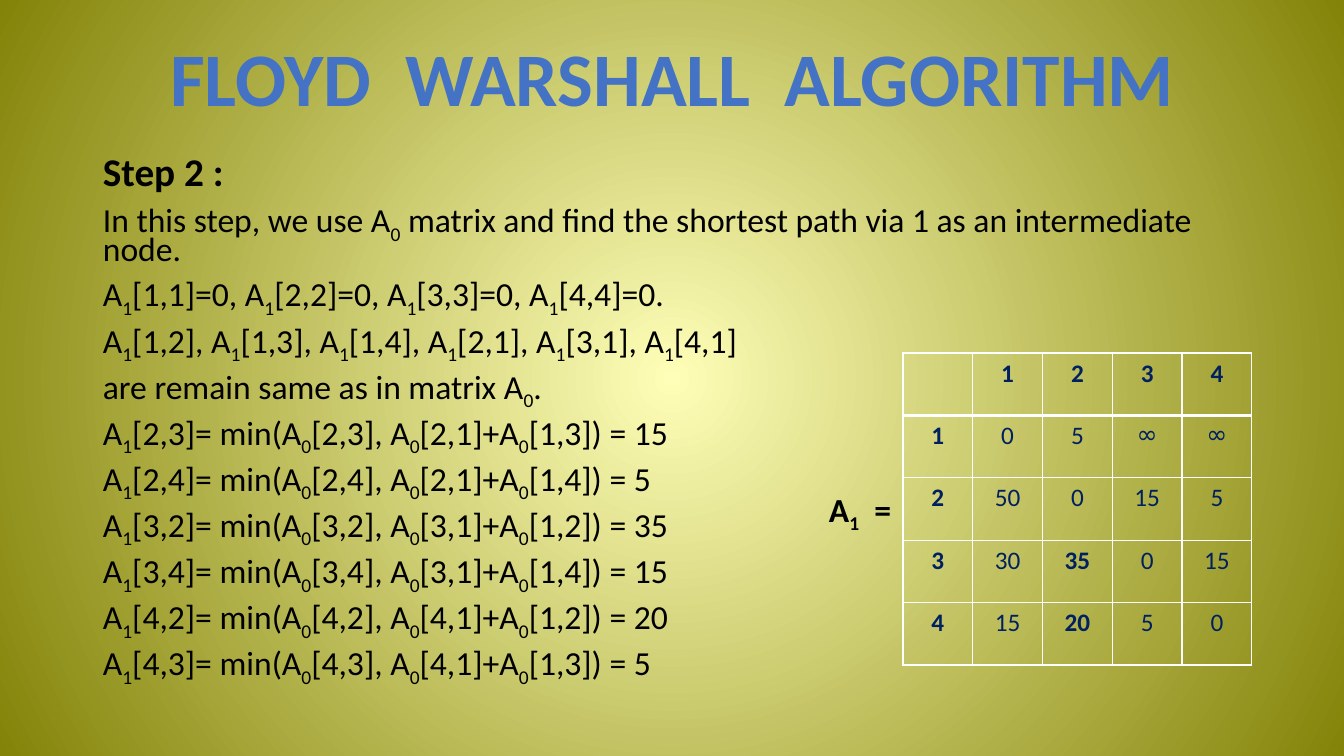
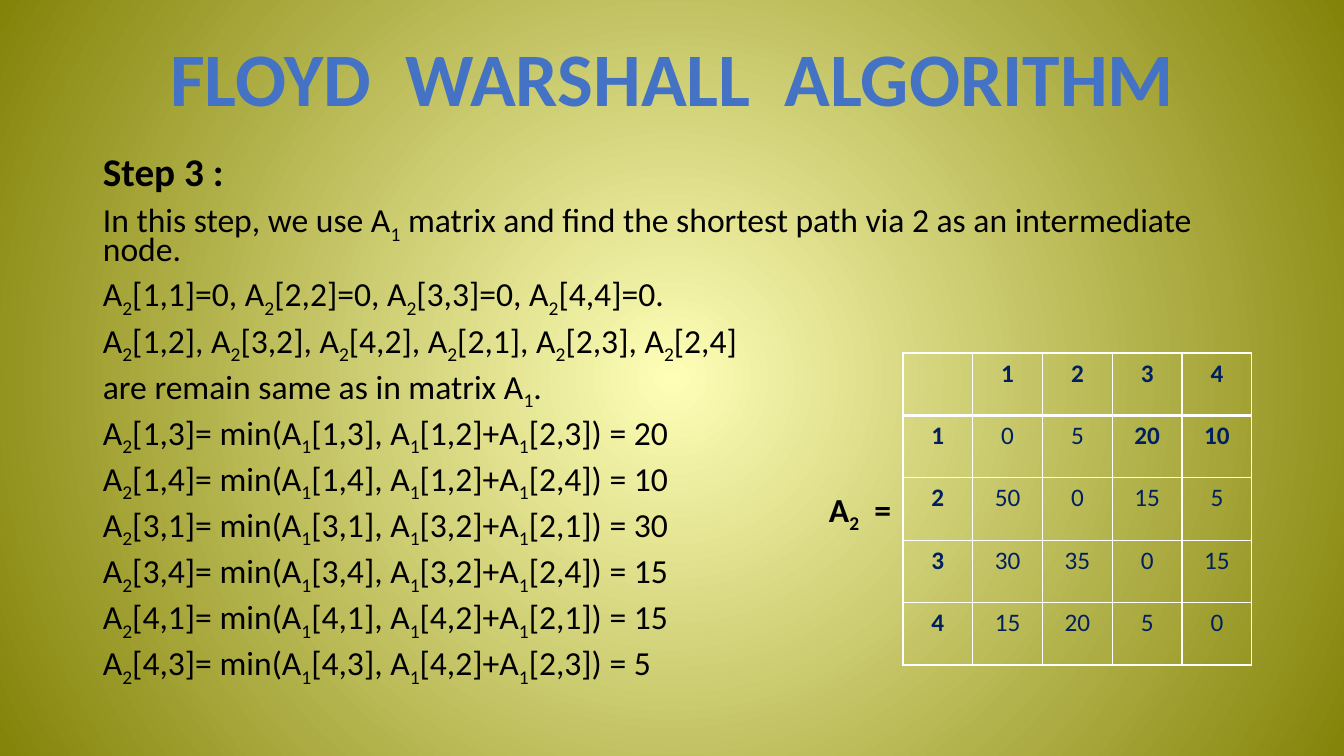
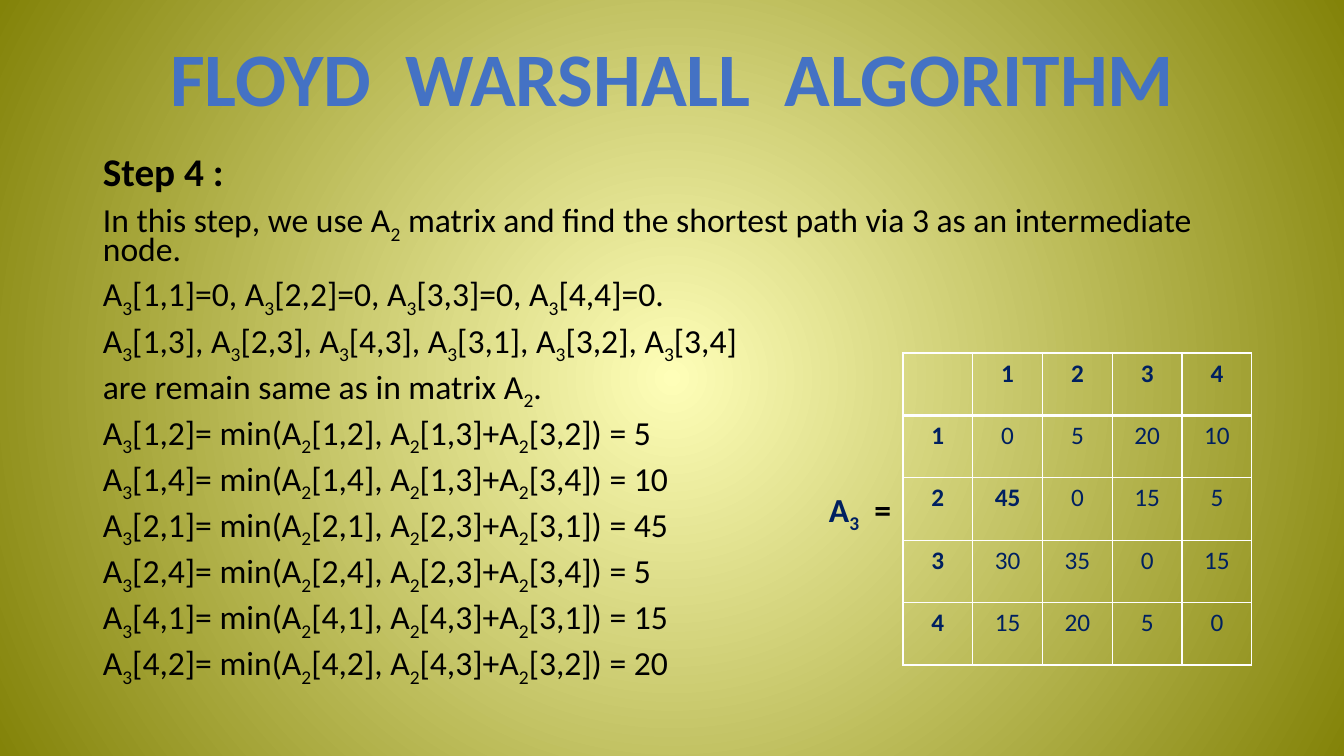
from dataclasses import dataclass
from itertools import permutations

from lxml import etree
from pptx import Presentation
from pptx import util as u
from pptx.dml.color import RGBColor
from pptx.enum import text
from pptx.oxml.ns import qn

TITLE = "FLOYD  WARSHALL  ALGORITHM"
NODES = (1, 2, 3, 4)
STEPS = [
    {
        "via": 1,
        "kept": [(1, 2), (1, 3), (1, 4), (2, 1), (3, 1), (4, 1)],
        "matrix": [[0, 5, "∞", "∞"], [50, 0, 15, 5], [30, 35, 0, 15], [15, 20, 5, 0]],
        "improved": {(3, 2), (4, 2)},
        "label_color": "000000",
    },
    {
        "via": 2,
        "kept": [(1, 2), (3, 2), (4, 2), (2, 1), (2, 3), (2, 4)],
        "matrix": [[0, 5, 20, 10], [50, 0, 15, 5], [30, 35, 0, 15], [15, 20, 5, 0]],
        "improved": {(1, 3), (1, 4)},
        "label_color": "000000",
    },
    {
        "via": 3,
        "kept": [(1, 3), (2, 3), (4, 3), (3, 1), (3, 2), (3, 4)],
        "matrix": [[0, 5, 20, 10], [45, 0, 15, 5], [30, 35, 0, 15], [15, 20, 5, 0]],
        "improved": {(2, 1)},
        "label_color": "002060",
    },
]


@dataclass(frozen=True)
class Theme:
    font: str = "Calibri"
    symbol_font: str = "DejaVu Sans"
    ink: str = "000000"
    navy: str = "002060"
    border: str = "FFFFFF"
    back: tuple = ((0, "FEFEB8"), (100, "838309"))
    title_fill: tuple = ((0, "203864"), (50, "4472C4"), (100, "8FAADC"))
    title: int = 54
    heading: int = 28
    body: int = 24
    cell: int = 18


T = Theme()
SLIDE = (1344, 756)
TITLE_BOX = (93, 40, 1159, 85)
BODY_BOX = (93, 155, 1159, 525)
LABEL_BOX = (819, 484, 84, 50)
TABLE_BOX = (903, 353, 349, 312)
EMU_PER_PX = 914400 / 100.8


def px(n):
    return u.Emu(round(n * EMU_PER_PX))


def set_gradient(fill, parent, stops, radial=False):
    fill.gradient()
    grad = parent.find(qn("a:gradFill"))
    for child in list(grad):
        grad.remove(child)
    gs_list = etree.SubElement(grad, qn("a:gsLst"))
    for pos, color in stops:
        gs = etree.SubElement(gs_list, qn("a:gs"), pos=str(pos * 1000))
        etree.SubElement(gs, qn("a:srgbClr"), val=color)
    if radial:
        shade = etree.SubElement(grad, qn("a:path"), {"path": "circle"})
        etree.SubElement(shade, qn("a:fillToRect"), l="50000", t="50000", r="50000", b="50000")
    else:
        etree.SubElement(grad, qn("a:lin"), ang="5400000", scaled="0")


def write(p, line, size=T.body, bold=False, color=T.ink, font=T.font,
          align=None, spacing=None, before=None, gradient=None):
    p.alignment = align
    p.line_spacing = spacing
    if before is not None:
        p.space_before = u.Pt(before)
    first, *rest = line.split("_")
    pieces = [(first, False)]
    for part in rest:
        pieces += [(part[0], True), (part[1:], False)]
    for piece, sub in pieces:
        r = p.add_run()
        r.text = piece
        f = r.font
        f.name, f.size, f.bold = font, u.Pt(size), bold
        rpr = r._r.get_or_add_rPr()
        if gradient:
            set_gradient(f.fill, rpr, gradient)
        else:
            f.color.rgb = RGBColor.from_string(color)
        if sub:
            rpr.set("baseline", "-25000")


def add_box(s, box):
    tf = s.shapes.add_textbox(*map(px, box)).text_frame
    tf.word_wrap = True
    return tf


def set_borders(cell, bottom):
    tcpr = cell._tc.get_or_add_tcPr()
    for i, (side, width) in enumerate((("L", 1), ("R", 1), ("T", 1), ("B", bottom))):
        ln = etree.Element(qn(f"a:ln{side}"), w=str(u.Pt(width)))
        solid = etree.SubElement(ln, qn("a:solidFill"))
        etree.SubElement(solid, qn("a:srgbClr"), val=T.border)
        tcpr.insert(i, ln)


def body_lines(step):
    via, matrix = step["via"], step["matrix"]
    new, old = f"A_{via}", f"A_{via - 1}"
    others = [n for n in NODES if n != via]
    return [
        f"In this step, we use {old} matrix and find the shortest path via {via} as an intermediate node.",
        ", ".join(f"{new}[{n},{n}]=0" for n in NODES) + ".",
        ", ".join(f"{new}[{i},{j}]" for i, j in step["kept"]),
        f"are remain same as in matrix {old}.",
    ] + [
        f"{new}[{i},{j}]= min({old}[{i},{j}], {old}[{i},{via}]+{old}[{via},{j}]) = {matrix[i - 1][j - 1]}"
        for i, j in permutations(others, 2)
    ]


def add_matrix(s, step):
    rows = [["", *NODES]] + [[n, *row] for n, row in zip(NODES, step["matrix"])]
    size = len(rows)
    tbl = s.shapes.add_table(size, size, *map(px, TABLE_BOX)).table
    tbl.first_row = tbl.horz_banding = False
    for k in range(size):
        tbl.columns[k].width = px(TABLE_BOX[2] / size)
        tbl.rows[k].height = px(TABLE_BOX[3] / size)
    for i, row in enumerate(rows):
        for j, value in enumerate(row):
            cell = tbl.cell(i, j)
            cell.fill.background()
            set_borders(cell, bottom=3 if i == 0 else 1)
            if i == 1:
                cell._tc.tcPr.find(qn("a:lnT")).set("w", str(u.Pt(3)))
            write(cell.text_frame.paragraphs[0], str(value), size=T.cell, color=T.navy,
                  bold=i == 0 or j == 0 or (i, j) in step["improved"],
                  font=T.symbol_font if value == "∞" else T.font,
                  align=text.PP_ALIGN.CENTER)


def add_step(prs, step):
    s = prs.slides.add_slide(prs.slide_layouts[6])
    tf = add_box(s, TITLE_BOX)
    tf.vertical_anchor = text.MSO_ANCHOR.MIDDLE
    write(tf.paragraphs[0], TITLE, size=T.title, bold=True, spacing=0.9,
          align=text.PP_ALIGN.CENTER, gradient=T.title_fill)

    tf = add_box(s, BODY_BOX)
    write(tf.paragraphs[0], f"Step {step['via'] + 1} :", size=T.heading, bold=True,
          spacing=0.7, before=10)
    for line in body_lines(step):
        write(tf.add_paragraph(), line, spacing=0.7, before=10)

    p = add_box(s, LABEL_BOX).paragraphs[0]
    write(p, f"A_{step['via']}", bold=True, color=step["label_color"])
    write(p, "  =", bold=True)
    add_matrix(s, step)


def main():
    prs = Presentation()
    prs.slide_width, prs.slide_height = map(px, SLIDE)
    master = prs.slide_master
    fill = master.background.fill
    fill.solid()
    set_gradient(fill, master._element.cSld.bg.bgPr, T.back, radial=True)
    for step in STEPS:
        add_step(prs, step)
    prs.save("out.pptx")


if __name__ == "__main__":
    main()
